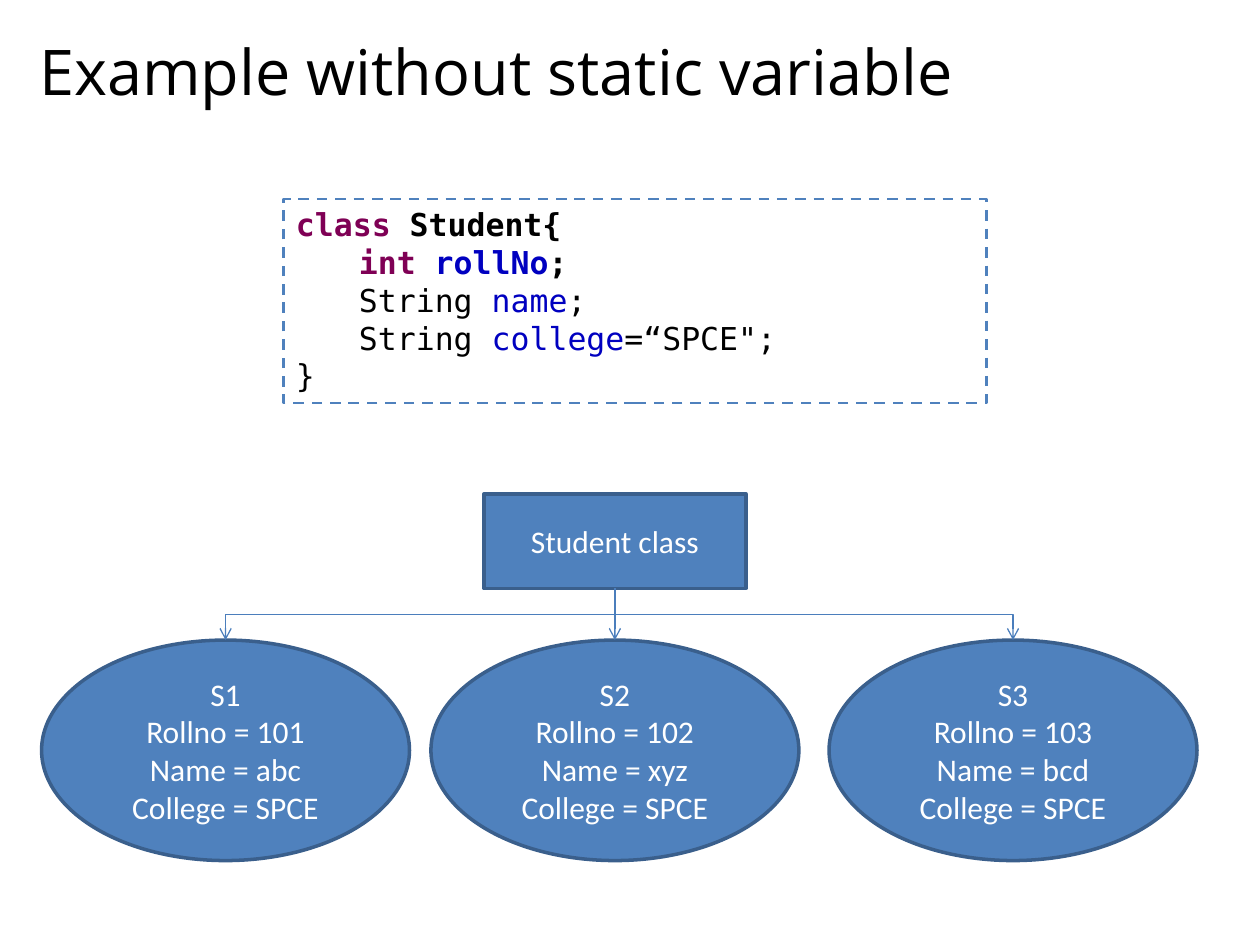
from pptx import Presentation
from pptx.dml.color import RGBColor
from pptx.enum.dml import MSO_LINE
from pptx.enum.shapes import MSO_CONNECTOR as LINK, MSO_SHAPE as SHAPE
from pptx.enum.text import MSO_ANCHOR as ANCHOR, PP_ALIGN as ALIGN
from pptx.oxml.ns import qn
from pptx.util import Inches, Pt
from lxml.etree import SubElement

COLORS = {
    "black": "000000", "white": "FFFFFF", "blue": "4F81BD", "edge": "3A5F8C",
    "link": "4B7EBC", "key": "7F0055", "field": "0000C0",
}


def color(name):
    return RGBColor.from_string(COLORS[name])


def write(shape, lines, font="Calibri", size=18, ink="white",
          align=ALIGN.CENTER, anchor=ANCHOR.MIDDLE):
    """Each line is a list of (text, ink, bold) runs, or a plain string."""
    frame = shape.text_frame
    frame.word_wrap = True
    frame.vertical_anchor = anchor
    for i, line in enumerate(lines):
        para = frame.add_paragraph() if i else frame.paragraphs[0]
        para.alignment = align
        runs = [(line, ink, False)] if isinstance(line, str) else line
        for text, tint, bold in runs:
            run = para.add_run()
            run.text = text
            run.font.name = font
            run.font.size = Pt(size)
            run.font.bold = bold
            run.font.color.rgb = color(tint)


def add_box(slide, kind, box, fill="blue", edge="edge", width=2):
    shape = slide.shapes.add_shape(kind, *map(Inches, box))
    shape.shadow.inherit = False
    if fill:
        shape.fill.solid()
        shape.fill.fore_color.rgb = color(fill)
    else:
        shape.fill.background()
    shape.line.color.rgb = color(edge)
    shape.line.width = Pt(width)
    return shape


def add_link(slide, start, end):
    """Arrow from the bottom of start to the top of end, bent if they are offset."""
    x1, x2 = (s.left + s.width // 2 for s in (start, end))
    y1, y2 = start.top + start.height, end.top
    bent = abs(x2 - x1) > Inches(0.02)
    kind = LINK.ELBOW if bent else LINK.STRAIGHT
    link = slide.shapes.add_connector(kind, x1, y1, x2, y2)
    link.begin_connect(start, 2)
    link.end_connect(end, 0)
    props = link._element.spPr
    if bent:
        # An elbow leaves sideways, so it is turned to leave downwards
        wide, high = y2 - y1, abs(x2 - x1)
        link.left = (x1 + x2 - wide) // 2
        link.top = (y1 + y2 - high) // 2
        link.width, link.height = wide, high
        right = x2 > x1
        form = props.find(qn("a:xfrm"))
        form.set("rot", str((270 if right else 90) * 60000))
        form.set("flipH", "1" if right else "0")
        form.set("flipV", "0")
    link.line.color.rgb = color("link")
    link.line.width = Pt(0.75)
    SubElement(props.find(qn("a:ln")), qn("a:tailEnd"), type="arrow")
    SubElement(props, qn("a:effectLst"))


def add_title(slide, box, text):
    title = slide.shapes.title
    title.left, title.top, title.width, title.height = map(Inches, box)
    write(title, [text], font="Open Sans", size=36, ink="black", align=ALIGN.LEFT)


def add_code(slide, box):
    panel = add_box(slide, SHAPE.RECTANGLE, box, fill=None, edge="blue", width=1.5)
    panel.line.dash_style = MSO_LINE.DASH
    lines = [
        [("class", "key", True), (" Student{", "black", True)],
        [("\tint ", "key", True), ("rollNo", "field", True), (";", "black", True)],
        [("\tString ", "black", False), ("name", "field", False),
         (";", "black", False)],
        [("\tString ", "black", False), ("college", "field", False),
         ("=“SPCE\";", "black", False)],
        [("}", "black", False)],
    ]
    write(panel, lines, font="DejaVu Sans Mono", align=ALIGN.LEFT, anchor=ANCHOR.TOP)


def add_tree(slide, box):
    left, top, width, height = box
    # Class at the top
    root = add_box(slide, SHAPE.RECTANGLE, (left + 3.51, top, 2.08, 0.75))
    write(root, ["Student class"])
    # Objects along the bottom
    wide, high = 2.92, 1.75
    spots = [left, left + 3.09, left + width - wide]
    items = []
    for i, (x, name) in enumerate(zip(spots, ["abc", "xyz", "bcd"]), 1):
        item = add_box(slide, SHAPE.OVAL, (x, top + height - high, wide, high))
        write(item, [f"S{i}", f"Rollno = {100 + i}", f"Name = {name}",
                     "College = SPCE"])
        items.append(item)
    # Arrows
    for item in items:
        add_link(slide, root, item)


def main():
    deck = Presentation()
    deck.slide_width, deck.slide_height = Inches(10), Inches(7.5)
    slide = deck.slides.add_slide(deck.slide_layouts[5])
    add_title(slide, (0.21, 0.12, 9.58, 0.88), "Example without static variable")
    add_tree(slide, (0.33, 3.92, 9.17, 2.91))
    add_code(slide, (2.25, 1.58, 5.58, 1.62))
    deck.save("out.pptx")


if __name__ == "__main__":
    main()
